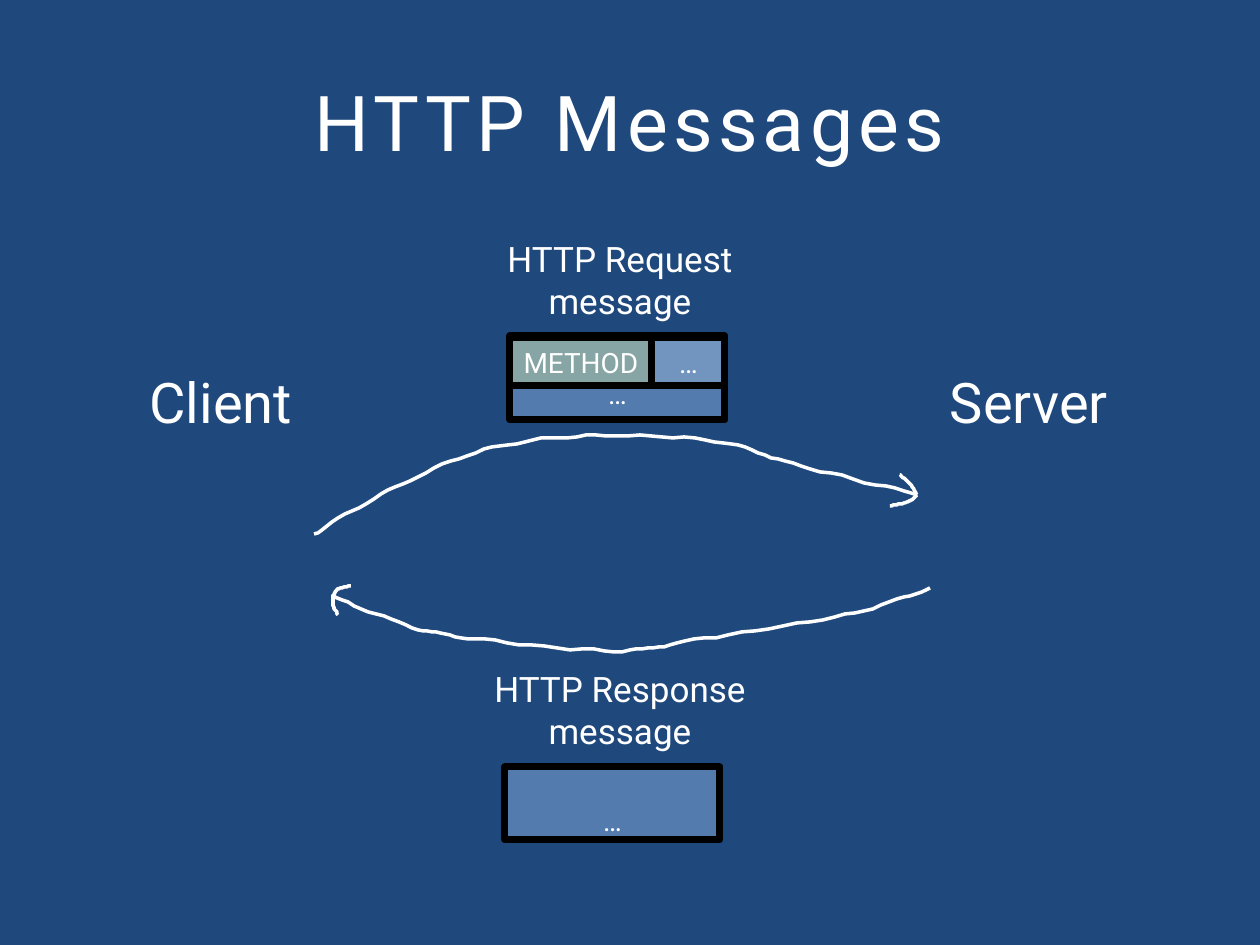
from pptx import Presentation
from pptx.util import Pt
from pptx.dml.color import RGBColor
from pptx.enum.shapes import MSO_SHAPE
from pptx.enum.text import MSO_ANCHOR as ANCHOR, PP_ALIGN as ALIGN
from pptx.oxml.ns import qn
from lxml import etree
from math import sin

PX = 7257  # EMU per pixel, 126 px to the inch
COLORS = {"background": "1F497D", "text": "FFFFFF", "border": "000000",
          "message": "8EB4E3", "method": "C3D69B", "rest": "95B3D7"}
C = {name: RGBColor.from_string(value) for name, value in COLORS.items()}


def write(sp, text, size, anchor):
    """Put one centred run of text into a shape."""
    tf = sp.text_frame
    tf.word_wrap = True
    tf.vertical_anchor = anchor
    p = tf.paragraphs[0]
    p.alignment = ALIGN.CENTER
    r = p.add_run()
    r.text = text
    for name, value in {"name": "Roboto", "size": Pt(size)}.items():
        setattr(r.font, name, value)
    r.font.color.rgb = C["text"]
    return r


def smooth(knots, wobble=0, steps=12):
    """Catmull-Rom curve through the knots, with a slight shake of the hand."""
    padded = [knots[0], *knots, knots[-1]]
    points = [knots[0]]
    for a, b, c, d in zip(padded, padded[1:], padded[2:], padded[3:]):
        for i in range(1, steps + 1):
            t = i / steps
            x, y = [(2 * q + (r - p) * t + (2 * p - 5 * q + 4 * r - s) * t ** 2
                     + (3 * q - p - 3 * r + s) * t ** 3) / 2
                    for p, q, r, s in zip(a, b, c, d)]
            points.append((x, y + wobble * sin(x / 8)))
    return points


prs = Presentation()
prs.slide_width, prs.slide_height = 1260 * PX, 945 * PX
s = prs.slides.add_slide(prs.slide_layouts[5])
s.background.fill.solid()
s.background.fill.fore_color.rgb = C["background"]

# Title with wide letter spacing
title = s.shapes.title
title.left, title.top, title.width, title.height = [v * PX for v in (63, 42, 1134, 157)]
r = write(title, "HTTP Messages", 44, ANCHOR.MIDDLE)
r.font._element.set("spc", "300")

# Labels: the two ends share a row, the two messages share a column
END_TOP, END_W, END_SIZE = 361, 242, 32
MESSAGE_LEFT, MESSAGE_W, MESSAGE_SIZE = 452, 336, 20
labels = [("Client", 100, END_TOP, END_W, END_SIZE),
          ("Server", 908, END_TOP, END_W, END_SIZE),
          ("HTTP Request message", MESSAGE_LEFT, 231, MESSAGE_W, MESSAGE_SIZE),
          ("HTTP Response message", MESSAGE_LEFT, 661, MESSAGE_W, MESSAGE_SIZE)]
for text, x, y, w, size in labels:
    sp = s.shapes.add_textbox(x * PX, y * PX, w * PX, 73 * PX)
    write(sp, text, size, ANCHOR.TOP)

# Hand-drawn arrows: a shaft through a few knots, and two barbs from its tip
arrows = {
    "request": {
        "shaft": [(314, 534), (388, 491), (484, 450), (586, 436),
                  (714, 441), (801, 466), (917, 494)],
        "barbs": [[(911, 485), (900, 475)], [(908, 502), (890, 506)]]},
    "response": {
        "shaft": [(930, 588), (845, 615), (694, 640), (614, 651),
                  (476, 639), (412, 627), (333, 597)],
        "barbs": [[(338, 589), (351, 586)], [(333, 605), (338, 615)]]},
}
for arrow in arrows.values():
    shaft = smooth(arrow["shaft"], wobble=1)
    tip = shaft[-1]
    strokes = [shaft] + [smooth([tip, *barb]) for barb in arrow["barbs"]]
    builder = s.shapes.build_freeform(*shaft[0], scale=PX)
    for stroke in strokes:
        builder.move_to(*stroke[0])
        builder.add_line_segments(stroke[1:], close=False)
    sp = builder.convert_to_shape()
    sp.shadow.inherit = False
    sp.fill.background()
    sp.line.color.rgb = C["text"]
    sp.line.width = Pt(2)

# Message boxes: whole messages first, then the two cells of the request line
BOX_W, METHOD_W = 215, 142
REQUEST_LEFT, RESPONSE_LEFT = 510, 505
LINE_TOP, LINE_H = 338, 48
boxes = [  # text, fill, left, top, width, height, anchor, bottom margin
    ("…", "message", REQUEST_LEFT, 336, BOX_W, 84, ANCHOR.BOTTOM, 10),
    ("…", "message", RESPONSE_LEFT, 767, BOX_W, 73, ANCHOR.BOTTOM, 3),
    ("METHOD", "method", REQUEST_LEFT, LINE_TOP, METHOD_W, LINE_H, ANCHOR.MIDDLE, 6),
    ("…", "rest", REQUEST_LEFT + METHOD_W, LINE_TOP, BOX_W - METHOD_W, LINE_H,
     ANCHOR.MIDDLE, 6)]
for text, color, x, y, w, h, anchor, bottom in boxes:
    sp = s.shapes.add_shape(MSO_SHAPE.ROUNDED_RECTANGLE, x * PX, y * PX, w * PX, h * PX)
    sp.adjustments[0] = 0
    sp.shadow.inherit = False
    sp.fill.solid()
    sp.fill.fore_color.rgb = C[color]
    srgb = sp._element.spPr.find(qn("a:solidFill")).find(qn("a:srgbClr"))
    etree.SubElement(srgb, qn("a:alpha")).set("val", "47000")
    sp.line.color.rgb = C["border"]
    sp.line.width = Pt(4)
    write(sp, text, 16, anchor)
    sp.text_frame.margin_bottom = bottom * PX

prs.save("out.pptx")
